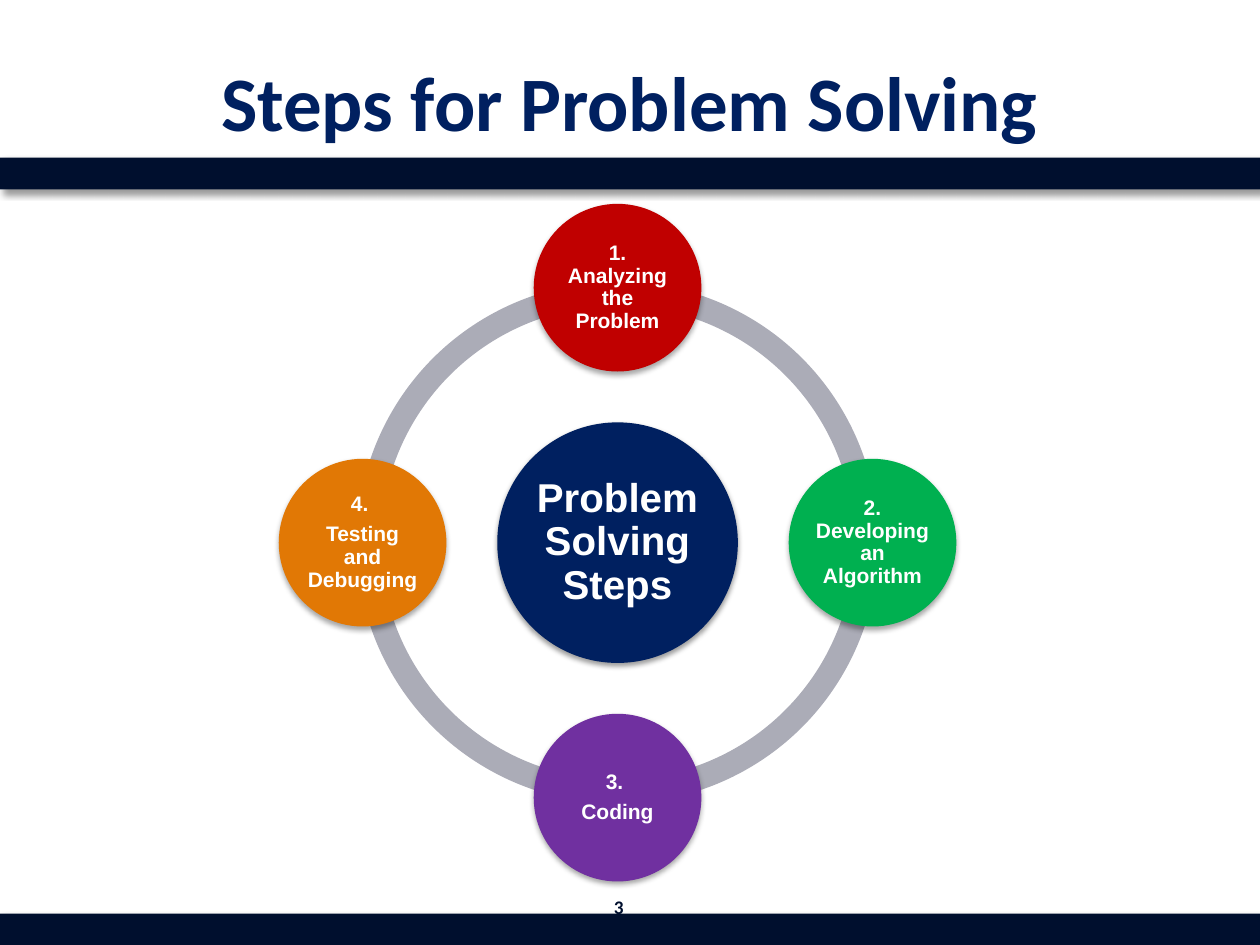
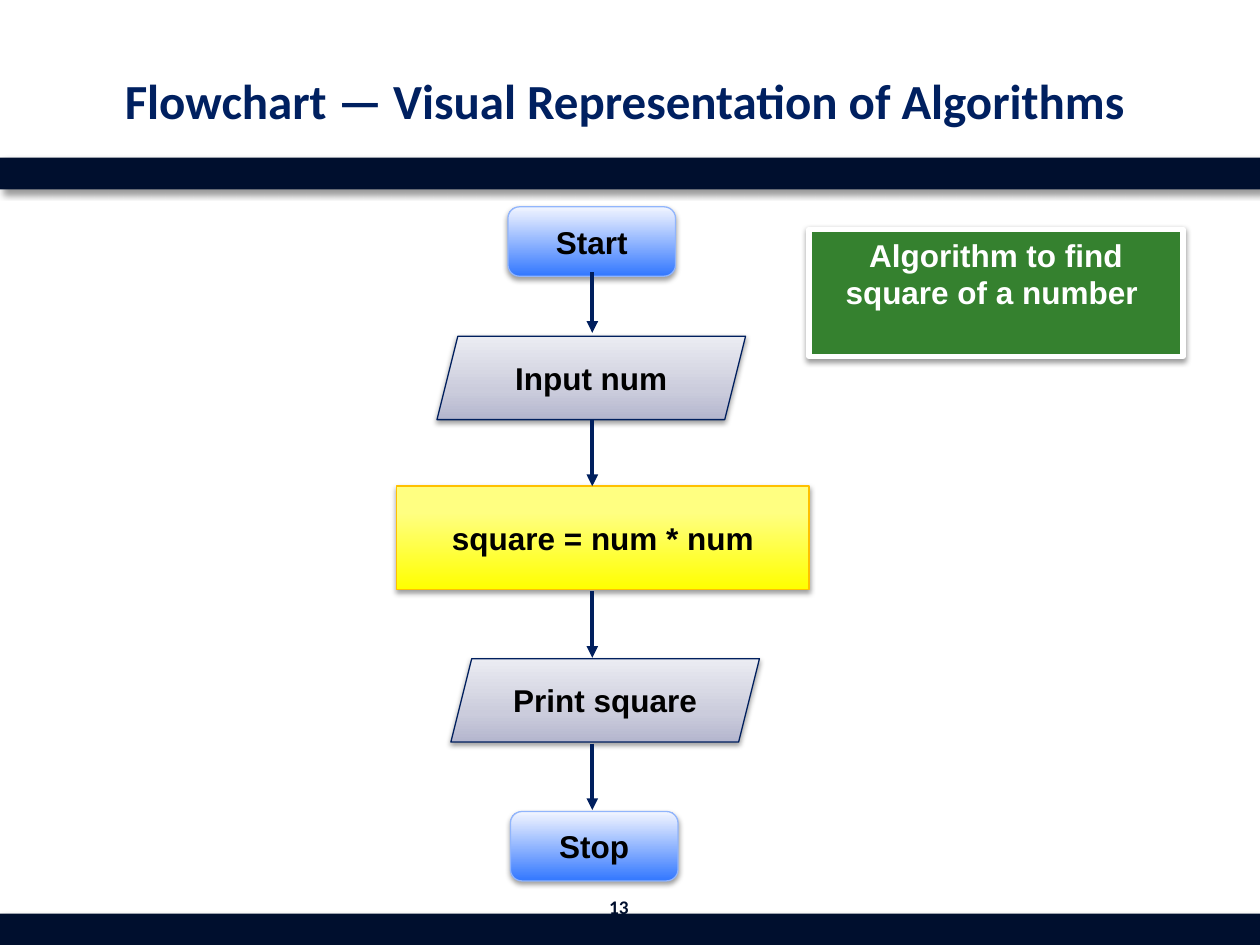
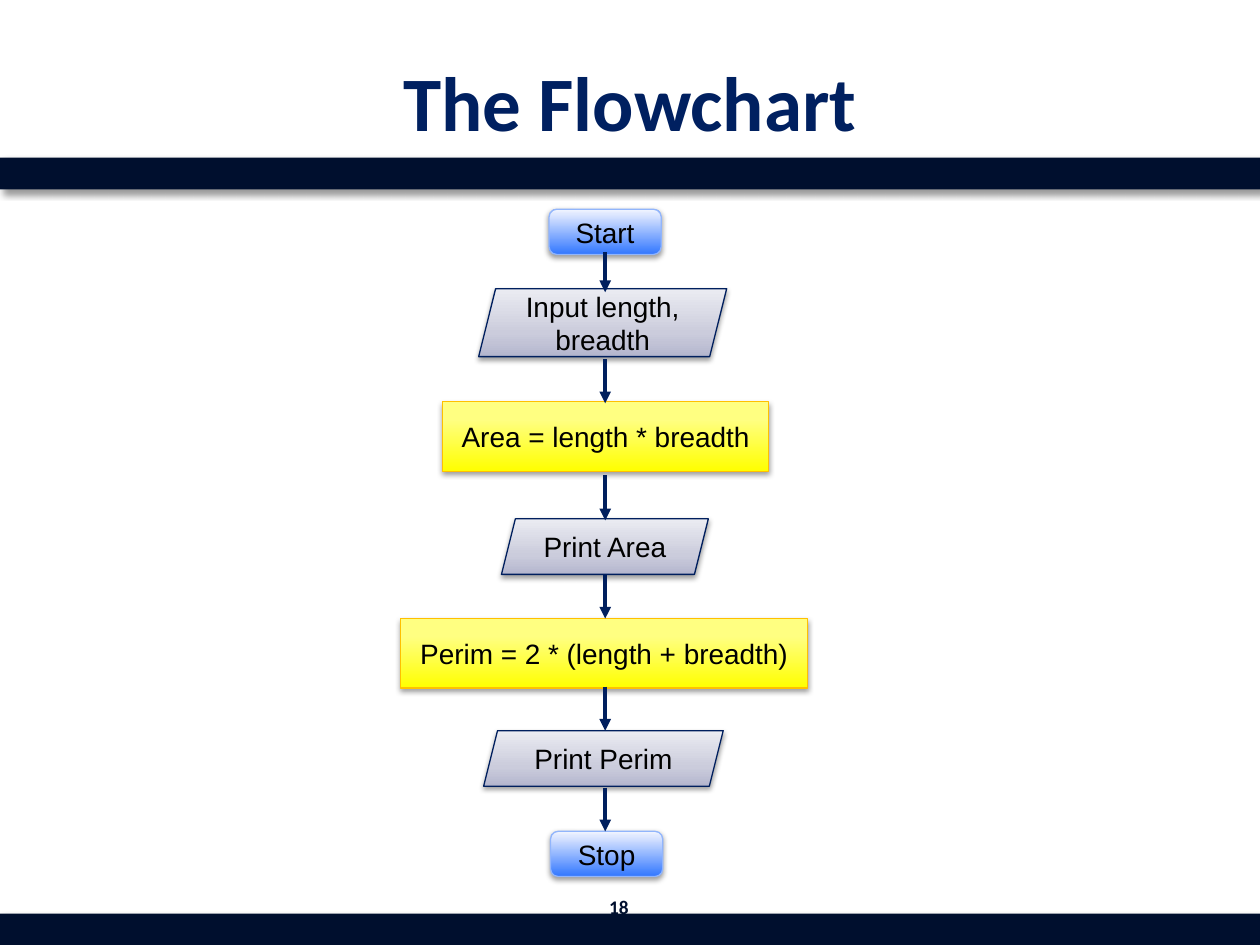
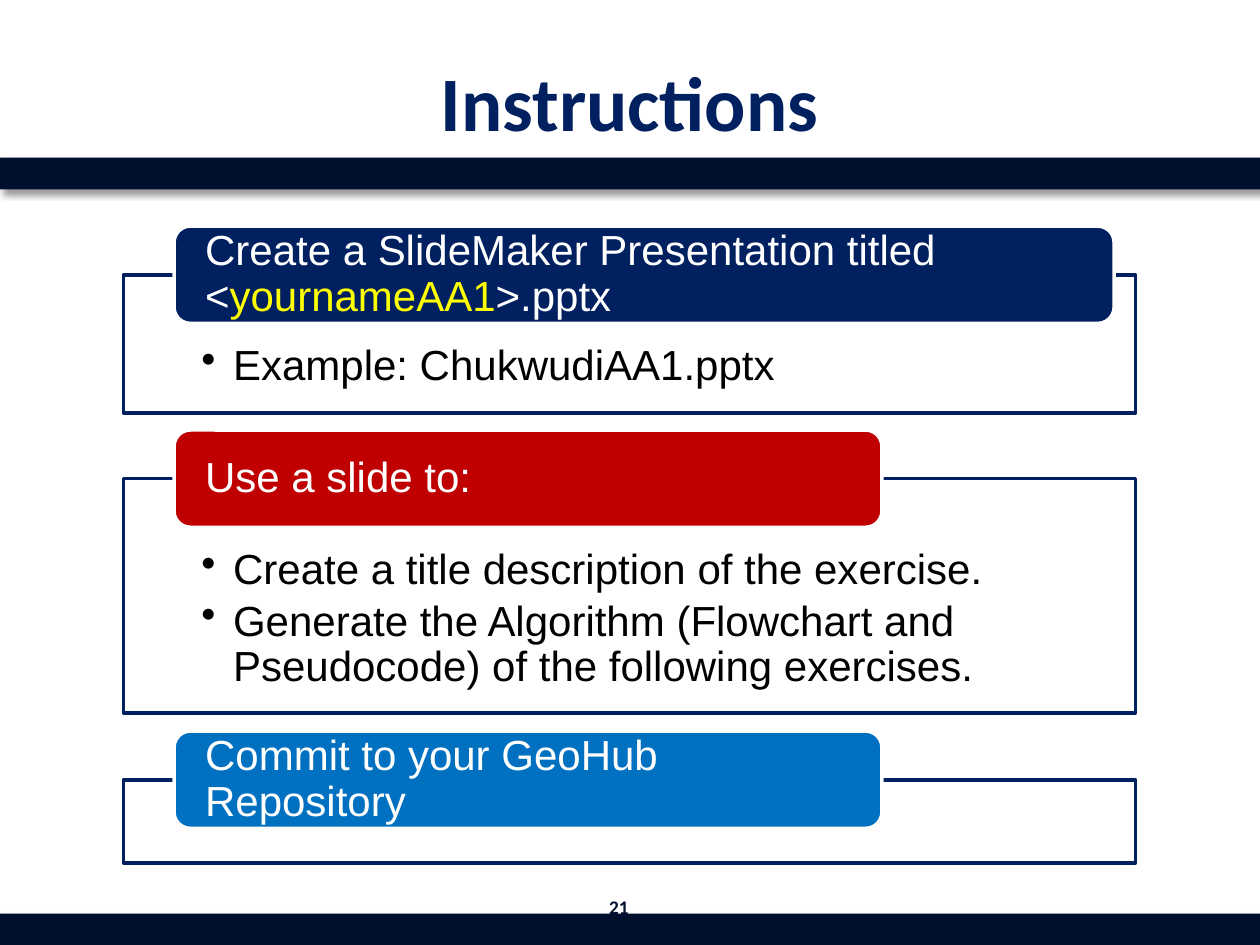
import lxml.etree
import pptx
import pptx.dml.color
import pptx.enum.shapes
import pptx.enum.text
import pptx.oxml.ns
import pptx.util

Cm = pptx.util.Cm
Pt = pptx.util.Pt
RGBColor = pptx.dml.color.RGBColor
SHAPE = pptx.enum.shapes.MSO_SHAPE
ALIGN = pptx.enum.text.PP_ALIGN
ANCHOR = pptx.enum.text.MSO_ANCHOR
qn = pptx.oxml.ns.qn
SubElement = lxml.etree.SubElement

NAVY = RGBColor(0x00, 0x20, 0x60)
DARK_NAVY = RGBColor(0x00, 0x0F, 0x2E)
ARROW_NAVY = RGBColor(0x00, 0x1F, 0x5E)
WHITE = RGBColor(0xFF, 0xFF, 0xFF)
BLACK = RGBColor(0x00, 0x00, 0x00)
RED = RGBColor(0xC0, 0x00, 0x00)
GREEN = RGBColor(0x00, 0xB0, 0x50)
FOREST = RGBColor(0x35, 0x81, 0x2F)
PURPLE = RGBColor(0x70, 0x30, 0xA0)
ORANGE = RGBColor(0xE1, 0x78, 0x05)
BLUE = RGBColor(0x00, 0x70, 0xC0)
YELLOW = RGBColor(0xFF, 0xFF, 0x00)
AMBER = RGBColor(0xFF, 0xC0, 0x00)
SKY = RGBColor(0x91, 0xB5, 0xFC)
RING_GREY = RGBColor(0xAB, 0xAC, 0xB7)

# Gradient stops: position in percent, colour
BLUE_FADE = [(0, "3277FF"), (90, "E0E9FF"), (100, "F3F6FF")]
GREY_FADE = [(0, "B4B6CE"), (35, "CBCCDC"), (100, "EBECF2")]
YELLOW_FADE = [(0, "FFFF00"), (74, "FFFF81"), (100, "FFFF81")]

# Shadows: opacity in percent, blur and distance in points, direction in degrees
BAND_SHADOW = (40, 4, 3, 45)
SOFT_SHADOW = (38, 3.1, 1.6, 90)
NODE_SHADOW = (35, 3.1, 1.8, 90)


def add_box(page, kind, left, top, width, height, fill, line=None, line_width=0.75, shadow=None):
    """Add a preset shape, in cm; fill is one colour or a list of gradient stops."""
    box = page.shapes.add_shape(kind, Cm(left), Cm(top), Cm(width), Cm(height))
    properties = box.element.spPr
    if isinstance(fill, list):
        box.fill.gradient()
        box.fill.gradient_angle = 90
        stops = properties.find(".//" + qn("a:gsLst"))
        for stop in list(stops):
            stops.remove(stop)
        for position, color in fill:
            stop = SubElement(stops, qn("a:gs"), pos=str(position * 1000))
            SubElement(stop, qn("a:srgbClr"), val=color)
    else:
        box.fill.solid()
        box.fill.fore_color.rgb = fill
    if line is None:
        box.line.fill.background()
    else:
        box.line.color.rgb = line
        box.line.width = Pt(line_width)
    box.shadow.inherit = False
    if shadow:
        opacity, blur, distance, direction = shadow
        outer = SubElement(
            properties.find(qn("a:effectLst")), qn("a:outerShdw"),
            blurRad=str(Pt(blur)), dist=str(Pt(distance)),
            dir=str(direction * 60000), rotWithShape="0")
        color = SubElement(outer, qn("a:srgbClr"), val="000000")
        SubElement(color, qn("a:alpha"), val=str(opacity * 1000))
    return box


def write(box, *paragraphs, size, color=WHITE, font="Arial", bold=False, align=ALIGN.CENTER,
          anchor=ANCHOR.MIDDLE, insets=(0.25, 0.13, 0.25, 0.13), spacing=None, after=0,
          bullet=False):
    """Fill a shape with paragraphs, each a string or a list of (text, colour) spans."""
    frame = box.text_frame
    frame.word_wrap = True
    frame.auto_size = pptx.enum.text.MSO_AUTO_SIZE.NONE
    frame.vertical_anchor = anchor
    frame.margin_left, frame.margin_top, frame.margin_right, frame.margin_bottom = map(Cm, insets)
    for index, content in enumerate(paragraphs):
        para = frame.add_paragraph() if index else frame.paragraphs[0]
        para.alignment = align
        para.space_after = Pt(after)
        if spacing:
            para.line_spacing = spacing
        if bullet:
            para.level = 1
            details = para._p.get_or_add_pPr()
            details.set("marL", str(Cm(0.64)))
            details.set("indent", str(Cm(-0.64)))
            SubElement(details, qn("a:buChar"), char="•")
        for text, span_color in [(content, color)] if isinstance(content, str) else content:
            span = para.add_run()
            span.text = text
            span.font.name = font
            span.font.size = Pt(size)
            span.font.bold = bold
            span.font.color.rgb = span_color


deck = pptx.Presentation()
deck.slide_width, deck.slide_height = Cm(25.4), Cm(19.05)
layout = deck.slide_layouts[5]

# Titles and page numbers
pages = []
for title, title_size, number in [
    ("Steps for Problem Solving", 44, 3),
    ("Flowchart — Visual Representation of Algorithms ", 28, 13),
    ("The Flowchart", 44, 18),
    ("Instructions", 44, 21),
]:
    page = deck.slides.add_slide(layout)
    heading = page.shapes.title
    heading.left, heading.top, heading.width, heading.height = Cm(1.27), Cm(0.43), Cm(22.86), Cm(3.18)
    write(heading, title, size=title_size, color=NAVY, font="Calibri", bold=True)
    pages.append(page)

# The two bands belong to the shared layout, behind everything else
for placeholder in list(layout.placeholders)[1:]:
    layout.shapes.element.remove(placeholder.element)
bands = [add_box(pages[0], SHAPE.RECTANGLE, 0, top, 25.4, 0.64, DARK_NAVY, shadow=BAND_SHADOW)
         for top in (18.42, 3.18)]
for position, band in enumerate(bands, start=2):
    layout.shapes.element.insert(position, band.element)

for page, number in zip(pages, (3, 13, 18, 21)):
    number_box = page.shapes.add_textbox(Cm(11.94), Cm(17.78), Cm(1.07), Cm(1.02))
    write(number_box, str(number), size=11, color=DARK_NAVY, font="Calibri", bold=True)

cycle_page, square_page, rectangle_page, instructions_page = pages

# Cycle of steps: a ring in four quarters, a hub and four nodes
center_x, center_y = 12.45, 10.94
ring_size, hub_size, node_size, orbit = 10.52, 4.85, 3.38, 5.14
for start in (108, 54, 0, 162):
    quarter = add_box(cycle_page, SHAPE.BLOCK_ARC, center_x - ring_size / 2,
                      center_y - ring_size / 2, ring_size, ring_size, RING_GREY)
    for index, value in enumerate((start, (start + 54) % 216, 0.046)):
        quarter.adjustments[index] = value

for step_x, step_y, diameter, fill, size, shadow, lines in [
    (0, 0, hub_size, NAVY, 23, SOFT_SHADOW, ["Problem Solving Steps"]),
    (0, -1, node_size, RED, 12, NODE_SHADOW, ["1. Analyzing the Problem"]),
    (1, 0, node_size, GREEN, 12, NODE_SHADOW, ["2. Developing an Algorithm"]),
    (0, 1, node_size, PURPLE, 12, NODE_SHADOW, ["3. ", "Coding"]),
    (-1, 0, node_size, ORANGE, 12, NODE_SHADOW, ["4. ", "Testing and Debugging"]),
]:
    node = add_box(cycle_page, SHAPE.OVAL, center_x + step_x * orbit - diameter / 2,
                   center_y + step_y * orbit - diameter / 2, diameter, diameter, fill,
                   shadow=shadow)
    write(node, *lines, size=size, bold=True, insets=(0.05,) * 4, spacing=0.9, after=0.35 * size)

# Flowcharts
callout = add_box(square_page, SHAPE.RECTANGLE, 16.31, 4.62, 7.54, 2.57, FOREST, WHITE, 3,
                  SOFT_SHADOW)
write(callout, "Algorithm to find square of a number ", size=18, bold=True, anchor=ANCHOR.TOP)

TERMINAL = (SHAPE.ROUNDED_RECTANGLE, BLUE_FADE, SKY)
DATA = (SHAPE.PARALLELOGRAM, GREY_FADE, ARROW_NAVY)
PROCESS = (SHAPE.RECTANGLE, YELLOW_FADE, AMBER)

square_steps = [
    (TERMINAL, "Start", 10.24, 4.17, 3.38, 1.4),
    (DATA, "Input num", 8.81, 6.78, 6.22, 1.68),
    (PROCESS, "square = num * num", 8, 9.8, 8.31, 2.08),
    (DATA, "Print square", 9.09, 13.28, 6.22, 1.68),
    (TERMINAL, "Stop", 10.29, 16.36, 3.38, 1.4),
]
square_arrows = [(5.49, 6.71), (8.46, 9.8), (11.91, 13.26), (14.99, 16.33)]
rectangle_steps = [
    (TERMINAL, "Start", 11.07, 4.22, 2.26, 0.91),
    (DATA, "Input length, breadth", 9.65, 5.82, 5, 1.37),
    (PROCESS, "Area = length * breadth", 8.92, 8.1, 6.58, 1.4),
    (DATA, "Print Area", 10.11, 10.46, 4.17, 1.12),
    (PROCESS, "Perim = 2 * (length + breadth)", 8.08, 12.47, 8.2, 1.4),
    (DATA, "Print Perim", 9.75, 14.73, 4.83, 1.12),
    (TERMINAL, "Stop", 11.1, 16.76, 2.26, 0.91),
]
rectangle_arrows = [(5.08, 5.89), (7.24, 8.13), (9.58, 10.49), (11.58, 12.47),
                    (13.84, 14.73), (15.88, 16.76)]

for page, steps, arrows, axis, size, bold in [
    (square_page, square_steps, square_arrows, 11.94, 18, True),
    (rectangle_page, rectangle_steps, rectangle_arrows, 12.2, 16, False),
]:
    for (kind, fill, line), text, left, top, width, height in steps:
        step = add_box(page, kind, left, top, width, height, fill, line, shadow=SOFT_SHADOW)
        write(step, text, size=size, color=BLACK, bold=bold)
    for start, end in arrows:
        arrow = page.shapes.add_connector(pptx.enum.shapes.MSO_CONNECTOR.STRAIGHT,
                                          Cm(axis), Cm(start), Cm(axis), Cm(end))
        arrow.line.color.rgb = ARROW_NAVY
        arrow.line.width = Pt(2.25)
        SubElement(arrow.element.spPr.find(qn("a:ln")), qn("a:tailEnd"), type="triangle")
        SubElement(arrow.element.spPr, qn("a:effectLst"))

# Instructions: outlined panels, each with a header over its top edge
header_height = 1.96
for top, height, header_width, fill, header_text, bullets in [
    (5.54, 2.79, 18.95, NAVY,
     [("Create a SlideMaker Presentation titled <", WHITE), ("yournameAA1", YELLOW),
      (">.pptx", WHITE)],
     ["Example: ChukwudiAA1.pptx"]),
    (9.65, 4.72, 14.27, RED, "Use a slide to:",
     ["Create a title description of the exercise.",
      "Generate the Algorithm (Flowchart and Pseudocode) of the following exercises."]),
    (15.72, 1.68, 14.27, BLUE, "Commit to your GeoHub Repository", []),
]:
    panel = add_box(instructions_page, SHAPE.RECTANGLE, 2.49, top, 20.4, height, WHITE, NAVY, 2)
    write(panel, *bullets, size=24, color=BLACK, align=ALIGN.LEFT, anchor=ANCHOR.TOP,
          insets=(1.57, 1.4, 1.57, 0.48), spacing=0.9, after=3.6, bullet=True)
    header = add_box(instructions_page, SHAPE.ROUNDED_RECTANGLE, 3.51, top - header_height / 2,
                     header_width, header_height, fill, WHITE, 2)
    write(header, header_text, size=24, align=ALIGN.LEFT, insets=(0.53, 0, 0.53, 0),
          spacing=0.9, after=8.4)

deck.save("out.pptx")
